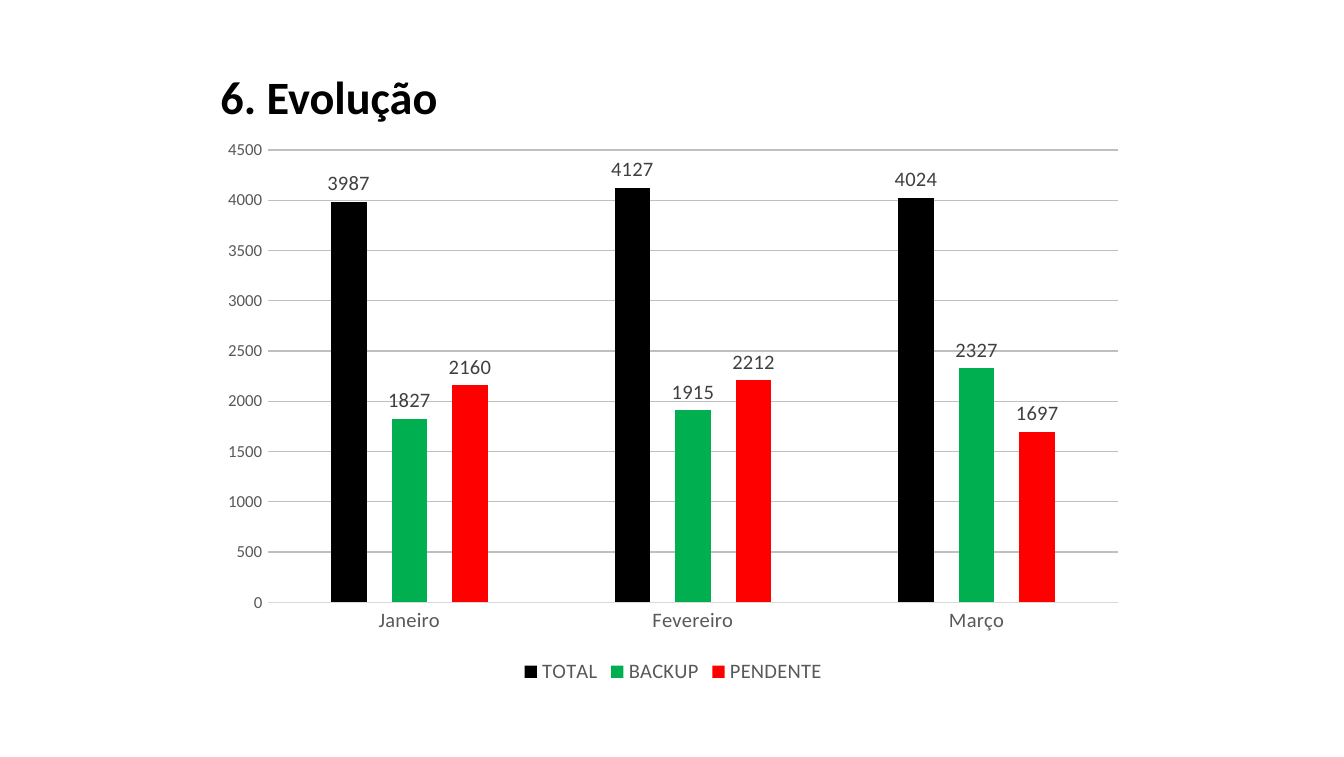
from pptx import Presentation
from pptx.chart.data import CategoryChartData
from pptx.dml.color import RGBColor
from pptx.enum.chart import XL_CHART_TYPE, XL_LABEL_POSITION, XL_LEGEND_POSITION, XL_TICK_MARK
from pptx.enum.text import MSO_ANCHOR, MSO_AUTO_SIZE, PP_ALIGN
from pptx.util import Inches, Pt

TITLE = "6. Evolução"
MONTHS = ["Janeiro", "Fevereiro", "Março"]
SERIES = [
    ("TOTAL", [3987, 4127, 4024], "000000"),
    ("BACKUP", [1827, 1915, 2327], "00B050"),
    ("PENDENTE", [2160, 2212, 1697], "FF0000"),
]
LEFT = 1.56
GRAY = "595959"


def color(value):
    """Turn a hex string into a colour."""
    return RGBColor.from_string(value)


def fill(target, value):
    """Fill an object with a solid colour."""
    target.fill.solid()
    target.fill.fore_color.rgb = color(value)


def style_font(font, size, value, bold=False):
    """Format a font."""
    font.name = "Calibri"
    font.size = Pt(size)
    font.bold = bold
    font.color.rgb = color(value)


def style_line(line, value):
    """Format a thin line."""
    line.color.rgb = color(value)
    line.width = Pt(0.75)


def write_text(shape, text, size, value, bold=False):
    """Write one left-aligned paragraph into a shape."""
    frame = shape.text_frame
    frame.text = text
    frame.word_wrap = True
    frame.auto_size = MSO_AUTO_SIZE.SHAPE_TO_FIT_TEXT
    frame.vertical_anchor = MSO_ANCHOR.TOP
    frame.margin_left = frame.margin_right = Inches(0.08)
    frame.margin_top = frame.margin_bottom = Inches(0.04)
    paragraph = frame.paragraphs[0]
    paragraph.alignment = PP_ALIGN.LEFT
    style_font(paragraph.runs[0].font, size, value, bold)


def add_title(slide):
    """Place and format the title."""
    title = slide.shapes.title
    title.left, title.top = Inches(LEFT), Inches(0.47)
    title.width, title.height = Inches(3.88), Inches(0.49)
    fill(title, "FFFFFF")
    write_text(title, TITLE, size=24.8, value="000000", bold=True)


def add_evolution_chart(slide):
    """Add the monthly column chart."""
    data = CategoryChartData(number_format="General")
    data.categories = MONTHS
    for name, values, _ in SERIES:
        data.add_series(name, values)
    chart = slide.shapes.add_chart(
        XL_CHART_TYPE.COLUMN_CLUSTERED,
        Inches(LEFT), Inches(0.96), Inches(6.9), Inches(4.17), data,
    ).chart
    style_font(chart.font, 10, "000000")
    chart.has_title = False
    chart.has_legend = True
    chart.legend.position = XL_LEGEND_POSITION.BOTTOM
    chart.legend.include_in_layout = False
    style_font(chart.legend.font, 11, GRAY)

    for axis, size in ((chart.category_axis, 11), (chart.value_axis, 9)):
        axis.major_tick_mark = axis.minor_tick_mark = XL_TICK_MARK.NONE
        style_font(axis.tick_labels.font, size, GRAY)
    style_line(chart.category_axis.format.line, "D9D9D9")
    value_axis = chart.value_axis
    value_axis.minimum_scale, value_axis.maximum_scale = 0, 4500
    value_axis.major_unit = 500
    value_axis.format.line.fill.background()
    value_axis.has_major_gridlines = True
    style_line(value_axis.major_gridlines.format.line, "BFBFBF")

    plot = chart.plots[0]
    plot.gap_width, plot.overlap = 355, -70
    plot.vary_by_categories = False
    for series, (_, _, value) in zip(plot.series, SERIES):
        fill(series.format, value)
        series.invert_if_negative = False
        labels = series.data_labels
        labels.show_value = True
        labels.position = XL_LABEL_POSITION.OUTSIDE_END
        style_font(labels.font, 11, "404040")


def main():
    """Build and save the slide."""
    presentation = Presentation()
    presentation.slide_width, presentation.slide_height = Inches(10), Inches(5.63)
    slide = presentation.slides.add_slide(presentation.slide_layouts[5])
    fill(slide.background, "FFFFFF")
    add_title(slide)
    add_evolution_chart(slide)
    presentation.save("out.pptx")


if __name__ == "__main__":
    main()
